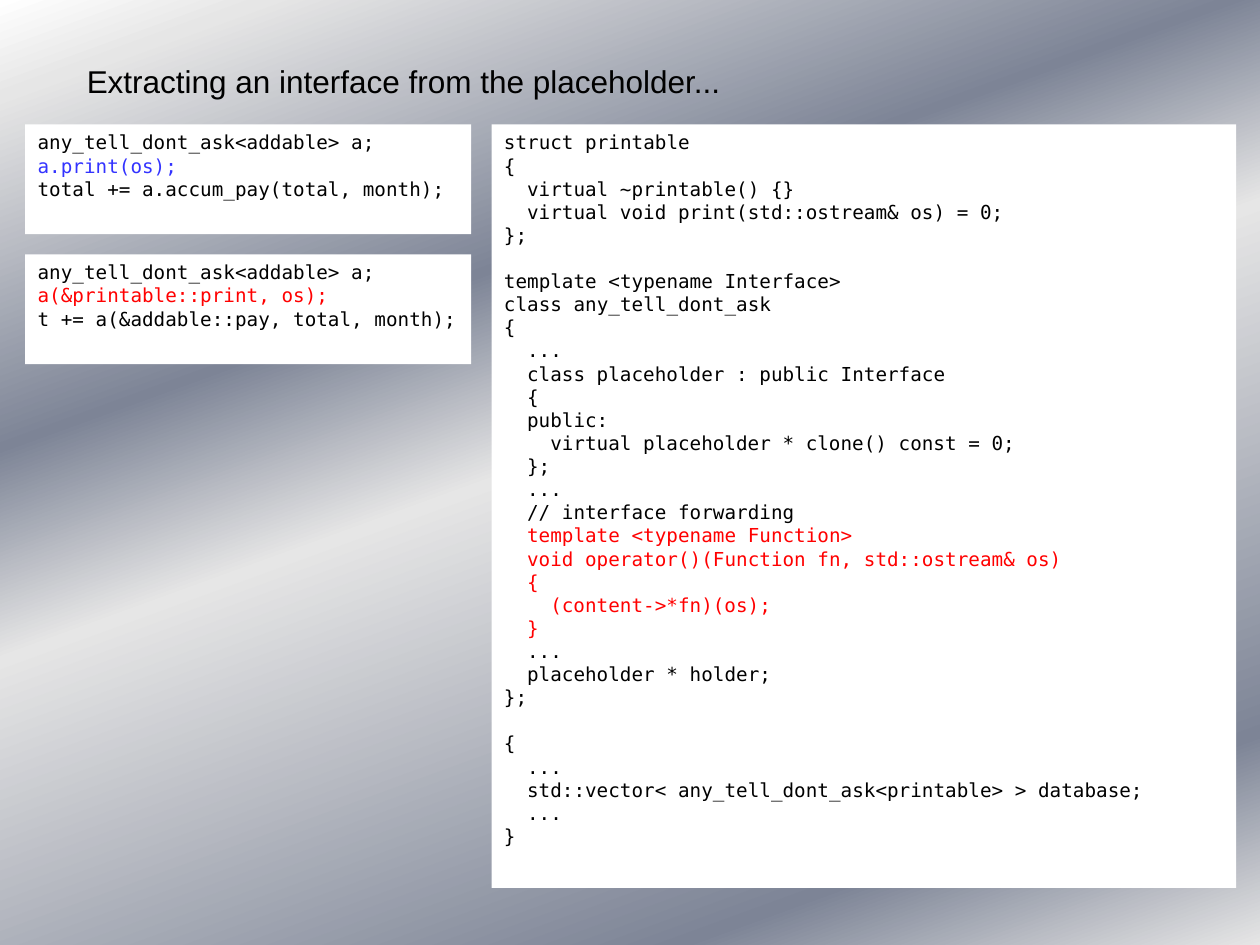
from dataclasses import dataclass

from lxml.etree import SubElement
from pptx import Presentation
from pptx.dml.color import RGBColor
from pptx.enum.shapes import MSO_SHAPE
from pptx.enum.text import MSO_ANCHOR, PP_ALIGN
from pptx.oxml.ns import qn
from pptx.slide import Slide
from pptx.text.text import _Paragraph
from pptx.util import Cm, Pt


@dataclass(frozen=True)
class Theme:
    black: str = "000000"
    white: str = "FFFFFF"
    blue: str = "3333FF"
    red: str = "FF0000"
    title_font: str = "Arial"
    code_font: str = "DejaVu Sans Mono"
    title_size: float = 18
    code_size: float = 11
    code_advance: float = 6.62
    code_line: float = 13.2
    gradient_angle: int = 290
    gradient: tuple[tuple[int, str], ...] = (
        (0, "FFFFFF"), (7, "E6E6E6"), (32, "7D8496"),
        (47, "E6E6E6"), (85, "7D8496"), (100, "E6E6E6"),
    )


@dataclass(frozen=True)
class CodePanel:
    left: float
    top: float
    width: float
    height: float
    code: str
    highlight: range
    highlight_color: str


THEME = Theme()
MARGIN, TOP, GAP = 0.51, 2.51, 0.41
CALL_WIDTH, CALL_HEIGHT = 8.99, 2.21

MEMBER_CALLS = """any_tell_dont_ask<addable> a;
a.print(os);
total += a.accum_pay(total, month);"""

POINTER_CALLS = """any_tell_dont_ask<addable> a;
a(&printable::print, os);
t += a(&addable::pay, total, month);"""

INTERFACE = """struct printable
{
  virtual ~printable() {}
  virtual void print(std::ostream& os) = 0;
};

template <typename Interface>
class any_tell_dont_ask
{
  ...
  class placeholder : public Interface
  {
  public:
    virtual placeholder * clone() const = 0;
  };
  ...
  // interface forwarding
  template <typename Function>
  void operator()(Function fn, std::ostream& os)
  {
    (content->*fn)(os);
  }
  ...
  placeholder * holder;
};

{
  ...
  std::vector< any_tell_dont_ask<printable> > database;
  ...
}"""

PANELS = (
    CodePanel(MARGIN, TOP, CALL_WIDTH, CALL_HEIGHT,
              MEMBER_CALLS, range(1, 2), THEME.blue),
    CodePanel(MARGIN, TOP + CALL_HEIGHT + GAP, CALL_WIDTH, CALL_HEIGHT,
              POINTER_CALLS, range(1, 2), THEME.red),
    CodePanel(MARGIN + CALL_WIDTH + GAP, TOP, 15.01, 15.39,
              INTERFACE, range(17, 22), THEME.red),
)


def format_runs(para: _Paragraph, font: str, size: float, color: str) -> None:
    for span in para.runs:
        span.font.name = font
        span.font.size = Pt(size)
        span.font.color.rgb = RGBColor.from_string(color)


def paint_background(page: Slide) -> None:
    fill = page.background.fill
    fill.gradient()
    fill.gradient_angle = THEME.gradient_angle
    stops = page.element.find(".//" + qn("a:gsLst"))
    for stop in list(stops):
        stops.remove(stop)
    for position, color in THEME.gradient:
        stop = SubElement(stops, qn("a:gs"), pos=str(position * 1000))
        SubElement(stop, qn("a:srgbClr"), val=color)


def add_title(page: Slide, title: str) -> None:
    box = page.shapes.add_textbox(Cm(1.5), Cm(1.12), Cm(16.41), Cm(1.02))
    box.text_frame.word_wrap = True
    box.text_frame.text = title
    format_runs(box.text_frame.paragraphs[0],
                THEME.title_font, THEME.title_size, THEME.black)


def add_code_panel(page: Slide, panel: CodePanel) -> None:
    box = page.shapes.add_shape(
        MSO_SHAPE.RECTANGLE, Cm(panel.left), Cm(panel.top),
        Cm(panel.width), Cm(panel.height))
    box.shadow.inherit = False
    box.fill.solid()
    box.fill.fore_color.rgb = RGBColor.from_string(THEME.white)
    box.line.fill.background()
    frame = box.text_frame
    frame.word_wrap = True
    frame.vertical_anchor = MSO_ANCHOR.TOP

    lines = panel.code.splitlines()
    for number, line in enumerate(lines):
        if not line:
            continue
        para = frame.paragraphs[0] if number == 0 else frame.add_paragraph()
        para.text = line.lstrip()
        para.alignment = PP_ALIGN.LEFT
        if number and not lines[number - 1]:
            para.space_before = Pt(THEME.code_line)
        indent = len(line) - len(para.text)
        if indent:
            properties = para._p.get_or_add_pPr()
            properties.set("marL", str(Pt(indent * THEME.code_advance)))
            properties.set("indent", "0")
        color = panel.highlight_color if number in panel.highlight else THEME.black
        format_runs(para, THEME.code_font, THEME.code_size, color)


def build_deck() -> None:
    deck = Presentation()
    deck.slide_width, deck.slide_height = Cm(25.4), Cm(19.05)
    page = deck.slides.add_slide(deck.slide_layouts[6])
    paint_background(page)
    add_title(page, "Extracting an interface from the placeholder...")
    for panel in PANELS:
        add_code_panel(page, panel)
    deck.save("out.pptx")


build_deck()
